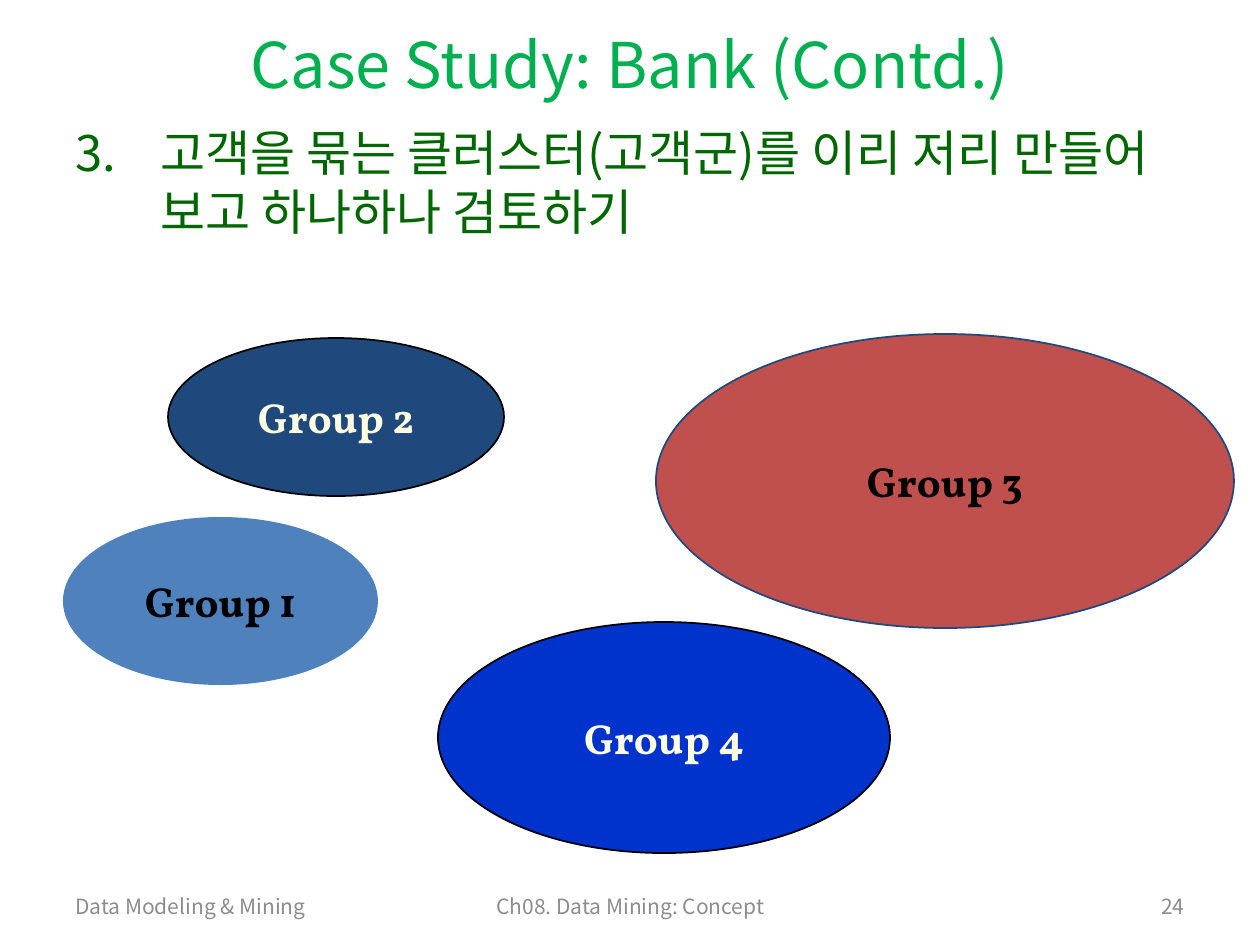
from pptx import Presentation
from pptx.dml.color import RGBColor
from pptx.enum.shapes import MSO_SHAPE as Shape
from pptx.enum.text import MSO_ANCHOR as Anchor, PP_ALIGN as Align
from pptx.oxml.ns import qn
from pptx.util import Pt
from lxml.etree import SubElement

PX = 914400 / 126
SANS, SERIF = "Noto Sans CJK KR", "Vollkorn"
BLACK = RGBColor(0, 0, 0)
CREAM = RGBColor(0xFF, 0xFF, 0xE1)
GREEN = RGBColor(0x00, 0xB0, 0x50)
DARK_GREEN = RGBColor(0x00, 0x66, 0x00)
GRAY = RGBColor(0x8C, 0x8C, 0x8C)
NAVY = RGBColor(0x1F, 0x49, 0x7D)
RED = RGBColor(0xC0, 0x50, 0x4D)
BLUE = RGBColor(0x00, 0x33, 0xCC)
LIGHT_BLUE = RGBColor(0x4F, 0x81, 0xBD)

TITLE = "Case Study: Bank (Contd.)"
STEP = "고객을 묶는 클러스터(고객군)를 이리 저리 만들어 보고 하나하나 검토하기"
STEP_NUMBER, STEP_INDENT = 3, 85
FOOTERS = [
    ("Data Modeling & Mining", 63, 294, Align.LEFT),
    ("Ch08. Data Mining: Concept", 431, 399, Align.CENTER),
    ("24", 1126, 71, Align.RIGHT),
]
GROUPS = [
    ("Group 2", (168, 338, 336, 158), NAVY, BLACK, CREAM),
    ("Group 3", (656, 334, 578, 294), RED, NAVY, BLACK),
    ("Group 4", (438, 622, 452, 231), BLUE, BLACK, CREAM),
    ("Group 1", (63, 517, 315, 168), LIGHT_BLUE, None, BLACK),
]


def emu(*lengths):
    return [round(length * PX) for length in lengths]


def write(frame, text, size, color, align, anchor=Anchor.MIDDLE, face=SANS, bold=False):
    frame.vertical_anchor = anchor
    paragraph = frame.paragraphs[0]
    paragraph.text = text
    paragraph.alignment = align
    font = paragraph.font
    font.size, font.bold, font.name = Pt(size), bold, face
    font.color.rgb = color
    properties = paragraph._p.get_or_add_pPr()
    SubElement(properties.find(qn("a:defRPr")), qn("a:ea"), typeface=face)
    return properties


def add_text(box, *style, **options):
    frame = slide.shapes.add_textbox(*emu(*box)).text_frame
    frame.word_wrap = True
    return write(frame, *style, **options)


deck = Presentation()
deck.slide_width, deck.slide_height = emu(1260, 945)
slide = deck.slides.add_slide(deck.slide_layouts[6])

add_text((63, 20, 1134, 86), TITLE, 36, GREEN, Align.CENTER)

step = add_text((63, 116, 1134, 761), STEP, 28, DARK_GREEN, Align.LEFT, anchor=Anchor.TOP)
indent = emu(STEP_INDENT)[0]
step.set("marL", str(indent))
step.set("indent", str(-indent))
numbering = SubElement(step, qn("a:buAutoNum"), type="arabicPeriod", startAt=str(STEP_NUMBER))
step.find(qn("a:defRPr")).addprevious(numbering)

for text, left, width, align in FOOTERS:
    add_text((left, 886, width, 40), text, 12, GRAY, align)

for label, box, fill, outline, ink in GROUPS:
    group = slide.shapes.add_shape(Shape.OVAL, *emu(*box))
    group.shadow.inherit = False
    group.fill.solid()
    group.fill.fore_color.rgb = fill
    if outline is None:
        group.line.fill.background()
    else:
        group.line.color.rgb = outline
        group.line.width = Pt(1)
    group.text_frame.word_wrap = False
    write(group.text_frame, label, 24, ink, Align.CENTER, face=SERIF, bold=True)

deck.save("out.pptx")
